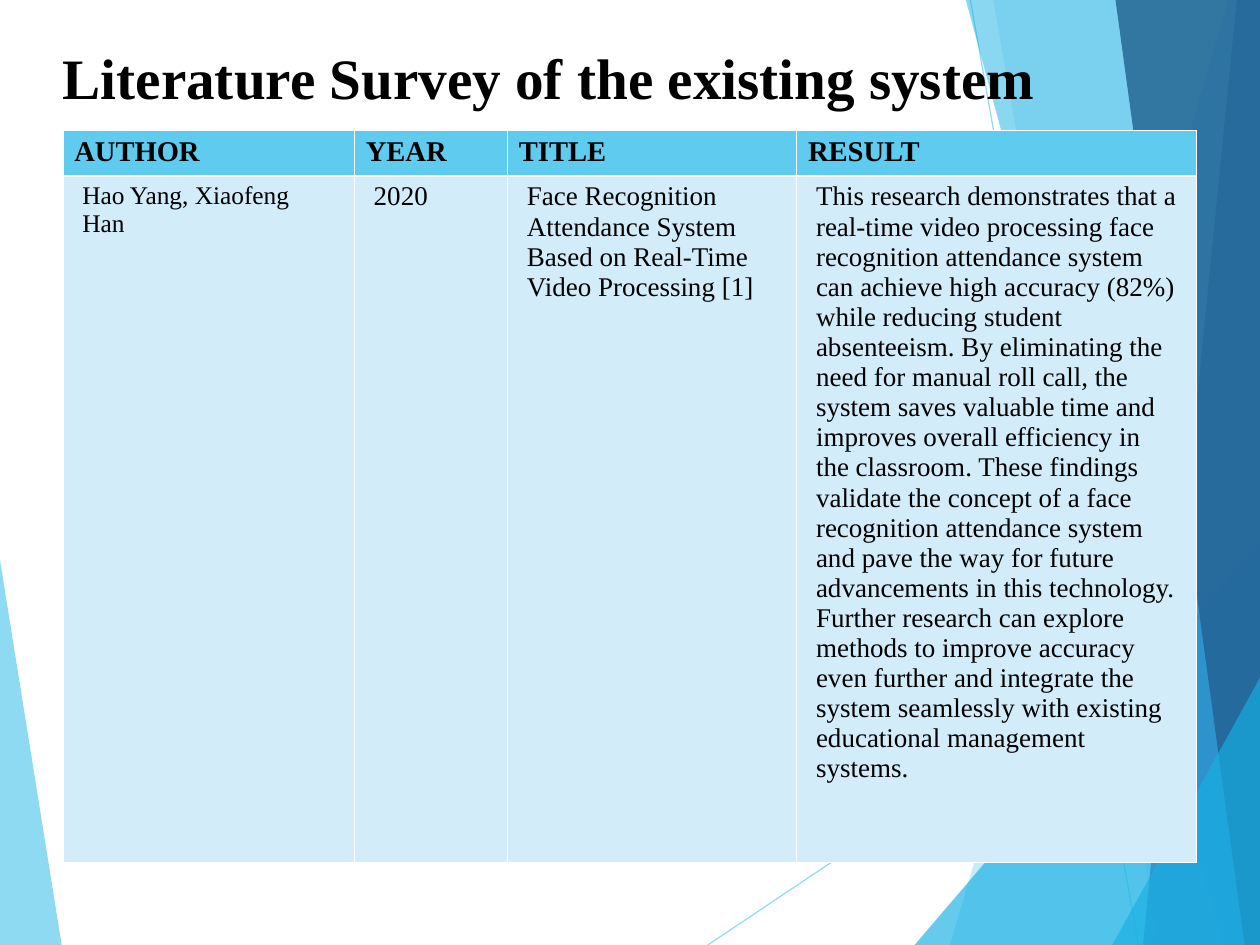
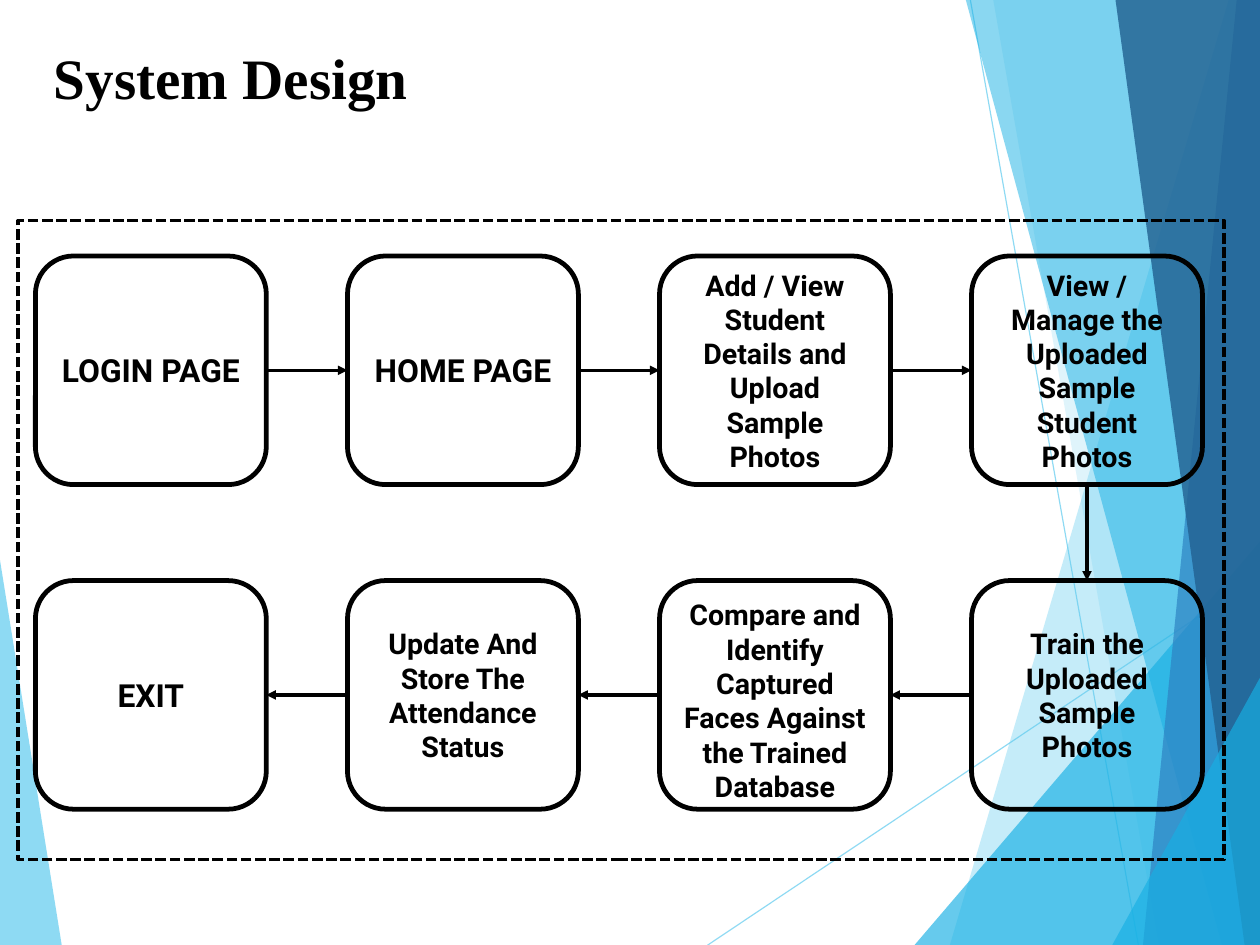
from itertools import pairwise

from lxml.etree import SubElement
from pptx import Presentation
from pptx.dml.color import RGBColor
from pptx.enum.dml import MSO_LINE
from pptx.enum.shapes import MSO_CONNECTOR, MSO_SHAPE
from pptx.enum.text import MSO_ANCHOR, MSO_AUTO_SIZE, PP_ALIGN
from pptx.oxml import parse_xml
from pptx.oxml.ns import nsdecls, qn
from pptx.util import Cm, Inches, Pt

FOOT = 8.27  # bottom edge of the slide in inches
SERIF, SANS = "Times New Roman", "Roboto"
BLACK, WHITE = "000000", "FFFFFF"
SKY, PALE, CYAN, BLUE, NAVY = "5FCBEF", "D2ECF9", "17B0E4", "2E83C3", "236292"

# Backdrop facets from back to front: colour, opacity in percent, corners
LEFT_FACET = (SKY, 70, [(-0.01, 4.84), (0.54, FOOT), (-0.01, FOOT)])
RIGHT_FACETS = [
    (SKY, 36, [(10.75, 0), (8.31, FOOT), (11.03, FOOT), (11.03, 0)]),
    (SKY, 20, [(8.69, 0), (10.14, FOOT), (11.03, FOOT), (11.03, 0)]),
    (CYAN, 66, [(8, FOOT), (11.03, 4.73), (11.03, FOOT)]),
    (CYAN, 50, [(8.45, 0), (10.69, FOOT), (11.03, FOOT), (11.03, 0)]),
    (BLUE, 70, [(10.82, 0), (10, FOOT), (11.03, FOOT), (11.03, 0)]),
    (NAVY, 82, [(9.76, 0), (10.89, FOOT), (11.03, FOOT), (11.03, 0)]),
    (CYAN, 66, [(9.73, FOOT), (11.04, 5.9), (11.04, FOOT)]),
]
BACKDROP_LINES = [((6.19, FOOT), (11.03, 5.03)), ((8.49, 0), (9.96, FOOT))]

SURVEY_HEADS = ["AUTHOR", "YEAR", "TITLE", "RESULT"]
SURVEY_ENTRY = [
    "Hao Yang, Xiaofeng Han",
    "2020",
    "Face Recognition Attendance System Based on Real-Time Video Processing [1]",
    "This research demonstrates that a real-time video processing face "
    "recognition attendance system can achieve high accuracy (82%) while "
    "reducing student absenteeism. By eliminating the need for manual roll "
    "call, the system saves valuable time and improves overall efficiency in "
    "the classroom. These findings validate the concept of a face recognition "
    "attendance system and pave the way for future advancements in this "
    "technology. Further research can explore methods to improve accuracy even "
    "further and integrate the system seamlessly with existing educational "
    "management systems.",
]

# Steps in flow order: column, row, text, size and, where not middle, anchor
STEPS = [
    (0, 0, "LOGIN PAGE", 20),
    (1, 0, "HOME PAGE", 20),
    (2, 0, "Add / View Student Details and Upload Sample Photos", 18),
    (3, 0, "View / Manage the Uploaded Sample Student Photos", 18),
    (3, 1, "Train the Uploaded Sample Photos", 18),
    (2, 1, "Compare and Identify Captured Faces Against the Trained Database", 18,
     MSO_ANCHOR.TOP),
    (1, 1, "Update And Store The Attendance Status", 18),
    (0, 1, "EXIT", 20),
]
TOP, LEFT, BOTTOM, RIGHT = range(4)


def rgb(color):
    return RGBColor.from_string(color)


def set_opacity(shape, percent):
    for clr in shape.element.iter(qn("a:srgbClr")):
        SubElement(clr, qn("a:alpha")).set("val", str(percent * 1000))


def format_text(p, font, size, bold=True, align=PP_ALIGN.LEFT):
    p.alignment = align
    for r in p.runs:
        r.font.name, r.font.size, r.font.bold = font, Pt(size), bold
        r.font.color.rgb = rgb(BLACK)


def add_facet(s, color, opacity, corners):
    points = [(Inches(x), Inches(y)) for x, y in corners]
    builder = s.shapes.build_freeform(*points[0])
    builder.add_line_segments(points[1:])
    facet = builder.convert_to_shape()
    facet.shadow.inherit = False
    facet.fill.solid()
    facet.fill.fore_color.rgb = rgb(color)
    facet.line.fill.background()
    set_opacity(facet, opacity)
    return facet


def add_line(s, start, end, color, width):
    line = s.shapes.add_connector(MSO_CONNECTOR.STRAIGHT, *map(Inches, start + end))
    line.line.color.rgb = rgb(color)
    line.line.width = Pt(width)
    SubElement(line.element.spPr, qn("a:effectLst"))
    return line


def build_backdrop(layout, s):
    """Draw the backdrop on a slide and move it to the shared layout."""
    for ph in list(layout.placeholders)[1:]:
        ph.element.getparent().remove(ph.element)
    parts = [add_facet(s, *LEFT_FACET)]
    for start, end in BACKDROP_LINES:
        line = add_line(s, start, end, SKY, 0.75)
        set_opacity(line, 70)
        parts.append(line)
    parts += [add_facet(s, *facet) for facet in RIGHT_FACETS]
    for part in parts:
        layout.shapes.element.append(part.element)


def set_title(s, text, left):
    title = s.shapes.title
    title.left, title.top = Inches(left), Inches(0)
    title.width, title.height = Inches(9.92), Inches(1.38)
    tf = title.text_frame
    tf.text = text
    tf.word_wrap = True
    tf.auto_size = MSO_AUTO_SIZE.NONE
    tf.vertical_anchor = MSO_ANCHOR.MIDDLE
    tf.margin_left = tf.margin_right = tf.margin_bottom = 0
    tf.margin_top = Inches(0.03)
    tf.paragraphs[0].line_spacing = 0.93
    format_text(tf.paragraphs[0], SERIF, 36)


def set_borders(cell, top, bottom):
    """Give a cell white borders, with the top and bottom widths in points."""
    widths = [("lnL", 0.45), ("lnR", 0.45), ("lnT", top), ("lnB", bottom)]
    for i, (tag, width) in enumerate(widths):
        cell._tc.get_or_add_tcPr().insert(i, parse_xml(
            f'<a:{tag} {nsdecls("a")} w="{Pt(width)}"><a:solidFill>'
            f'<a:srgbClr val="{WHITE}"/></a:solidFill></a:{tag}>'))


def set_cell(cell, text, fill, size, bold, margin, borders):
    cell.text = text
    cell.fill.solid()
    cell.fill.fore_color.rgb = rgb(fill)
    cell.margin_left = cell.margin_right = Inches(margin)
    format_text(cell.text_frame.paragraphs[0], SERIF, size, bold)
    set_borders(cell, *borders)


def add_survey_table(s):
    table = s.shapes.add_table(2, 4, Inches(0.55), Inches(1.14),
                               Inches(9.92), Inches(6.4)).table
    for row, height in zip(table.rows, (0.4, 6)):
        row.height = Inches(height)
    for col, width in enumerate((2.55, 1.34, 2.53, 3.5)):
        table.columns[col].width = Inches(width)
        set_cell(table.cell(0, col), SURVEY_HEADS[col], SKY, 18, True, 0.1,
                 (0.45, 1.47))
        set_cell(table.cell(1, col), SURVEY_ENTRY[col], PALE,
                 17 if col else 16, False, 0.17, (1.47, 0.45))


def add_outline(s, shape_type, left, top, width, height, weight):
    sp = s.shapes.add_shape(shape_type, *map(Inches, (left, top, width, height)))
    sp.shadow.inherit = False
    sp.fill.background()
    sp.line.color.rgb = rgb(BLACK)
    sp.line.width = Pt(weight)
    return sp


def add_step(s, col, row, text, size, anchor=MSO_ANCHOR.MIDDLE):
    step = add_outline(s, MSO_SHAPE.ROUNDED_RECTANGLE, 0.31 + 2.73 * col,
                       2.24 + 2.84 * row, 2.02, 2, 3)
    tf = step.text_frame
    tf.text = text
    tf.word_wrap = True
    tf.vertical_anchor = anchor
    format_text(tf.paragraphs[0], SANS, size, align=PP_ALIGN.CENTER)
    return step


def add_arrow(s, source, target):
    """Join two steps, leaving and entering at the sides that face each other."""
    if source.left == target.left:
        sides = BOTTOM, TOP
    elif source.left < target.left:
        sides = RIGHT, LEFT
    else:
        sides = LEFT, RIGHT
    arrow = add_line(s, (0, 0), (1, 1), BLACK, 2)
    arrow.begin_connect(source, sides[0])
    arrow.end_connect(target, sides[1])
    SubElement(arrow.line._get_or_add_ln(), qn("a:tailEnd")).set("type", "triangle")


def add_flow(s):
    steps = [add_step(s, *step) for step in STEPS]
    for source, target in pairwise(steps):
        add_arrow(s, source, target)
    frame = add_outline(s, MSO_SHAPE.RECTANGLE, 0.16, 1.93, 10.55, 5.59, 2.25)
    frame.line.dash_style = MSO_LINE.SQUARE_DOT


def main():
    prs = Presentation()
    prs.slide_width, prs.slide_height = Cm(28), Cm(21)
    layout = prs.slide_layouts.get_by_name("Title Only")

    s = prs.slides.add_slide(layout)
    build_backdrop(layout, s)
    set_title(s, "Literature Survey of the existing system", 0.55)
    add_survey_table(s)

    s = prs.slides.add_slide(layout)
    set_title(s, "System Design", 0.47)
    add_flow(s)

    prs.save("out.pptx")


if __name__ == "__main__":
    main()
